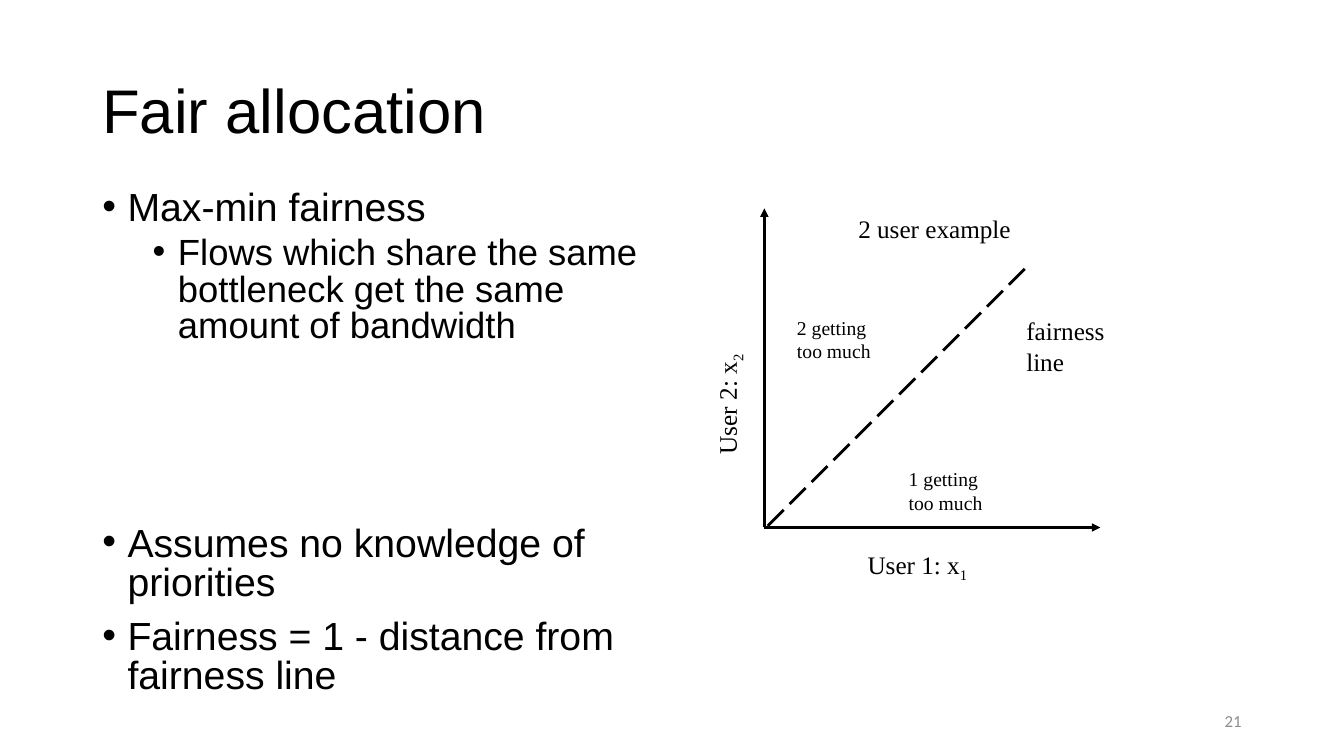
"""Builds a slide on fair allocation with a two-user fairness diagram."""
from lxml.etree import SubElement
from pptx import Presentation
from pptx.dml.color import RGBColor
from pptx.enum.dml import MSO_LINE
from pptx.enum.shapes import MSO_CONNECTOR
from pptx.enum.text import MSO_ANCHOR as Anchor, PP_ALIGN as Align
from pptx.oxml.ns import qn
from pptx.util import Inches, Pt

BLACK = RGBColor(0x00, 0x00, 0x00)
GREY = RGBColor(0x8C, 0x8C, 0x8C)
COLUMNS, ROWS = 160, 90


class FairnessSlide:
    """Holds the fonts, the grid and the current slide."""

    heading_font = "Arial"
    diagram_font = "Times New Roman"
    number_font = "Calibri"

    def __init__(self, deck):
        """Adds a blank slide and measures its grid."""
        self.slide = deck.slides.add_slide(deck.slide_layouts[6])
        self.column = deck.slide_width / COLUMNS
        self.row = deck.slide_height / ROWS

    def place(self, x, y):
        """Turns columns and rows into slide lengths."""
        return round(x * self.column), round(y * self.row)

    def style(self, paragraph, font, size, color=BLACK):
        """Formats every run of a paragraph."""
        for run in paragraph.runs:
            run.font.name = font
            run.font.size = Pt(size)
            run.font.color.rgb = color

    def box(self, x, y, width, height, wrap=True, anchor=Anchor.TOP):
        """Adds an empty text box and returns it."""
        holder = self.slide.shapes.add_textbox(*self.place(x, y), *self.place(width, height))
        holder.text_frame.word_wrap = wrap
        holder.text_frame.vertical_anchor = anchor
        return holder

    def line_of_text(self, area, words, font, size, color=BLACK, align=Align.LEFT, spacing=1.0):
        """Adds one vertically centred line."""
        frame = self.box(*area, anchor=Anchor.MIDDLE).text_frame
        frame.text = words
        paragraph = frame.paragraphs[0]
        paragraph.alignment = align
        paragraph.line_spacing = spacing
        self.style(paragraph, font, size, color)

    def bullets(self, area, points):
        """Adds bulleted points given as level, size, space before and words."""
        frame = self.box(*area).text_frame
        frame.text = "\n".join(words for *_, words in points)
        for paragraph, (level, size, before, _) in zip(frame.paragraphs, points):
            paragraph.level = level
            properties = paragraph._p.get_or_add_pPr()
            properties.set("marL", str(Inches(0.25 + 0.5 * level)))
            properties.set("indent", str(Inches(-0.25)))
            SubElement(properties, qn("a:buFont"), typeface=self.heading_font)
            SubElement(properties, qn("a:buChar"), char="•")
            paragraph.line_spacing = 0.84
            paragraph.space_before = Pt(before)
            self.style(paragraph, self.heading_font, size)

    def label(self, area, words, size=18, subscript="", rotation=0):
        """Adds a diagram label, with a subscript if given."""
        holder = self.box(*area, wrap=False)
        holder.rotation = rotation
        frame = holder.text_frame
        frame.text = words
        if subscript:
            index = frame.paragraphs[0].add_run()
            index.text = subscript
            index.font._element.set("baseline", "-25000")
        for paragraph in frame.paragraphs:
            self.style(paragraph, self.diagram_font, size)

    def line(self, start, end, arrow=False, dash=None):
        """Adds a straight line, with an arrowhead or dashes if asked."""
        stroke = self.slide.shapes.add_connector(
            MSO_CONNECTOR.STRAIGHT, *self.place(*start), *self.place(*end))
        stroke.line.color.rgb = BLACK
        stroke.line.width = Pt(2)
        if dash:
            stroke.line.dash_style = dash
        if arrow:
            SubElement(stroke.line._get_or_add_ln(), qn("a:tailEnd"), type="triangle")
        SubElement(stroke._element.spPr, qn("a:effectLst"))


def main():
    """Builds and saves the deck."""
    deck = Presentation()
    deck.slide_width, deck.slide_height = Inches(13.33), Inches(7.5)
    page = FairnessSlide(deck)

    page.line_of_text((113, 83.4, 36, 4.8), "21", page.number_font, 12, GREY, Align.RIGHT)
    page.line_of_text((11, 4.8, 138, 17.4), "Fair allocation", page.heading_font, 44, spacing=0.9)
    page.bullets((11, 22, 73.1, 61.4), [
        (0, 28, 0, "Max-min fairness"),
        (1, 26, 5, "Flows which share the same bottleneck get the same amount of bandwidth"),
        (0, 28, 128, "Assumes no knowledge of priorities"),
        (0, 28, 10, "Fairness = 1 - distance from fairness line"),
    ])

    origin_x, origin_y = origin = (91, 62.8)
    for axis_end in ((origin_x, 24.8), (131, origin_y)):
        page.line(origin, axis_end, arrow=True)
    page.line((122, 32), (origin_x, 63), dash=MSO_LINE.LONG_DASH)

    page.label((102.1, 64.8, 14.5, 4.8), "User 1: x", subscript="1")
    page.label((79.3, 45.6, 14.5, 4.8), "User 2: x", subscript="2", rotation=270)
    page.label((101, 24.8, 20.8, 4.8), "2 user example")
    for user, x, y in ((2, 93.7, 37), (1, 107, 55)):
        page.label((x, y, 11.3, 6.8), f"{user} getting\ntoo much", size=14)
    page.label((121, 37, 11.9, 8.4), "fairness\nline")

    deck.save("out.pptx")


if __name__ == "__main__":
    main()
